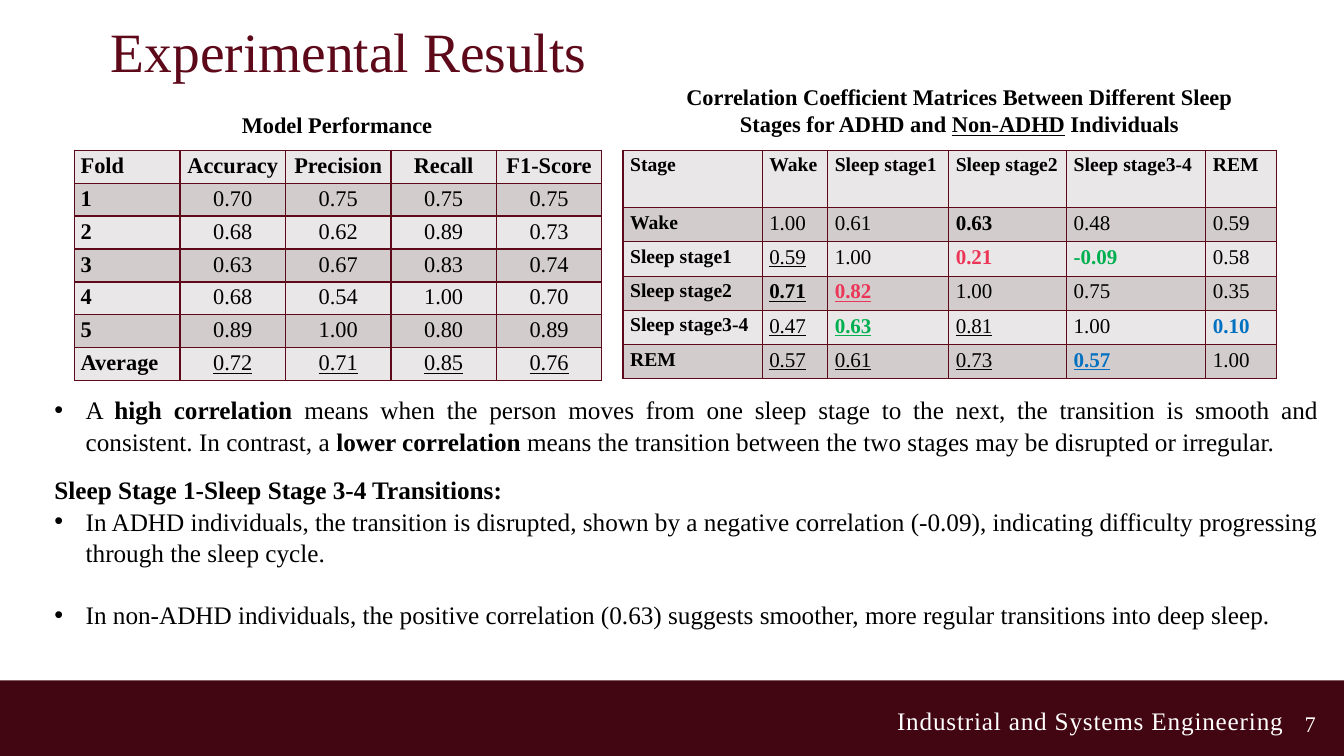
"""Build the experimental results slide with two tables and their reading."""
from dataclasses import dataclass
from lxml.etree import SubElement
from pptx import Presentation
from pptx.dml.color import RGBColor as RGB
from pptx.enum.shapes import MSO_SHAPE as Form
from pptx.enum.text import MSO_ANCHOR as Anchor, MSO_AUTO_SIZE as Fit, PP_ALIGN as Align
from pptx.oxml.ns import qn
from pptx.util import Inches, Pt

TITLE = "Experimental Results"
SCHOOL, PAGE = "Industrial and Systems Engineering", "7"
SCORES = [
    ("Fold", "Accuracy", "Precision", "Recall", "F1-Score"),
    ("1", "0.70", "0.75", "0.75", "0.75"),
    ("2", "0.68", "0.62", "0.89", "0.73"),
    ("3", "0.63", "0.67", "0.83", "0.74"),
    ("4", "0.68", "0.54", "1.00", "0.70"),
    ("5", "0.89", "1.00", "0.80", "0.89"),
    ("Average", "0.72", "0.71", "0.85", "0.76"),
]
STAGES = [
    ("Stage", "Wake", "Sleep stage1", "Sleep stage2", "Sleep stage3-4", "REM"),
    ("Wake", "1.00", "0.61", "0.63", "0.48", "0.59"),
    ("Sleep stage1", "0.59", "1.00", "0.21", "-0.09", "0.58"),
    ("Sleep stage2", "0.71", "0.82", "1.00", "0.75", "0.35"),
    ("Sleep stage3-4", "0.47", "0.63", "0.81", "1.00", "0.10"),
    ("REM", "0.57", "0.61", "0.73", "0.57", "1.00"),
]
MARKS = {(1, 3): "ink", (2, 3): "pink", (2, 4): "green", (4, 5): "blue"}
LEFT_CAP = [("Model Performance", "b")]
RIGHT_CAP = [
    ("Correlation Coefficient Matrices Between Different Sleep Stages for ADHD and ", "b"),
    ("Non-ADHD", "bu"), (" Individuals", "b"),
]
MEANING = [[
    ("A ", ""), ("high correlation ", "b"),
    ("means when the person moves from one sleep stage to the next, the transition "
     "is smooth and consistent. In contrast, a ", ""),
    ("lower correlation ", "b"),
    ("means the transition between the two stages may be disrupted or irregular.", ""),
]]
SHIFTS = [
    [("Sleep Stage 1-Sleep Stage 3-4 Transitions:", "b")],
    [("In ADHD individuals, the transition is disrupted, shown by a negative correlation "
      "(-0.09), indicating difficulty progressing through the sleep cycle.", "")],
    [("In non-ADHD individuals, the positive correlation (0.63) suggests smoother, "
      "more regular transitions into deep sleep.", "")],
]


@dataclass(frozen=True)
class Theme:
    """Colours, font and type sizes."""
    font: str = "Times New Roman"
    ink: str = "000000"
    white: str = "FFFFFF"
    wine: str = "5E091A"
    bar: str = "410611"
    light: str = "EAE7E8"
    dark: str = "D2CCCD"
    pink: str = "EC3658"
    green: str = "00B050"
    blue: str = "0070C0"
    title: float = 39.6
    body: int = 18
    table: int = 16
    value: int = 15
    head: int = 14


LOOK = Theme()


def write(para, runs, size, ink=LOOK.ink, align=Align.LEFT):
    """Fill a paragraph with runs; b is bold and u is underlined."""
    para.alignment = align
    for text, style in runs:
        run = para.add_run()
        run.text = text
        font = run.font
        font.name, font.size = LOOK.font, Pt(size)
        font.bold, font.underline = "b" in style, "u" in style
        font.color.rgb = RGB.from_string(ink)


def place(shape, box):
    """Move a shape to a box given in inches."""
    shape.left, shape.top, shape.width, shape.height = map(Inches, box)


def label(slide, box, runs, size, ink=LOOK.ink, align=Align.LEFT):
    """Add one wrapped line or block of text."""
    frame = slide.shapes.add_textbox(*map(Inches, box)).text_frame
    frame.word_wrap = True
    write(frame.paragraphs[0], runs, size, ink, align)
    return frame


def body(shape, box, paras, align, gap):
    """Fill a body placeholder; a fully bold paragraph is a heading."""
    place(shape, box)
    frame = shape.text_frame
    frame.auto_size = Fit.NONE
    for i, runs in enumerate(paras):
        para = frame.add_paragraph() if i else frame.paragraphs[0]
        write(para, runs, LOOK.body, align=align)
        para.line_spacing = 1.05
        para.space_before = Pt(gap if i > 1 else 0)
        para.space_after = Pt(0)
        head = all(style == "b" for _, style in runs)
        dent = 0 if head else Inches(0.31)
        props = para._p.get_or_add_pPr()
        props.set("marL", str(dent))
        props.set("indent", str(-dent))
        if head:
            SubElement(props, qn("a:buNone"))
        else:
            SubElement(props, qn("a:buFont"), typeface="Arial")
            SubElement(props, qn("a:buChar"), char="•")


def border(cell):
    """Draw a thin wine line on all four sides of a cell."""
    props = cell._tc.get_or_add_tcPr()
    for side in "LRTB":
        line = SubElement(props, qn(f"a:ln{side}"), w=str(Pt(1)))
        fill = SubElement(line, qn("a:solidFill"))
        SubElement(fill, qn("a:srgbClr"), val=LOOK.wine)


def grid(slide, spot, data, wide, high, pad, paint):
    """Add a banded table; paint gives size, ink, style and alignment."""
    box = (*spot, sum(wide), sum(high))
    table = slide.shapes.add_table(len(high), len(wide), *map(Inches, box)).table
    for col, width in zip(table.columns, wide):
        col.width = Inches(width)
    for r, row in enumerate(data):
        table.rows[r].height = Inches(high[r])
        for c, text in enumerate(row):
            cell = table.cell(r, c)
            cell.margin_left = cell.margin_right = Inches(pad[0])
            cell.margin_top = cell.margin_bottom = Inches(pad[1])
            border(cell)
            cell.fill.solid()
            cell.fill.fore_color.rgb = RGB.from_string(LOOK.dark if r % 2 else LOOK.light)
            size, ink, style, align = paint(r, c)
            write(cell.text_frame.paragraphs[0], [(text, style)], size, ink, align)


def score(r, c):
    """Style a model score; the averages are underlined."""
    style = "b" if r == 0 or c == 0 else "u" if r == len(SCORES) - 1 else ""
    return LOOK.table, LOOK.ink, style, Align.CENTER if c else Align.LEFT


def stage(r, c):
    """Style a correlation; values below the diagonal are underlined."""
    if r == 0 or c == 0:
        return LOOK.head, LOOK.ink, "b", Align.LEFT
    mark = MARKS.get((min(r, c), max(r, c)))
    if (r, c) == (3, 1):
        mark = "ink"
    if (r, c) == (5, 4):
        mark = "blue"
    bold = mark and (r, c) != (3, 1) or (r, c) == (3, 1)
    style = ("b" if bold else "") + ("u" if c < r else "")
    return LOOK.value, getattr(LOOK, mark or "ink"), style, Align.LEFT


def main():
    """Lay out the slide and save it."""
    deck = Presentation()
    deck.slide_width, deck.slide_height = Inches(13.33), Inches(7.5)
    slide = deck.slides.add_slide(deck.slide_layouts[3])
    title, upper, lower = slide.placeholders

    bar = slide.shapes.add_shape(Form.RECTANGLE, *map(Inches, (0, 6.75, 13.33, 0.75)))
    bar.shadow.inherit = False
    bar.fill.solid()
    bar.fill.fore_color.rgb = RGB.from_string(LOOK.bar)
    bar.line.fill.background()
    foot = label(slide, (8.73, 6.95, 4.1, 0.4), [(SCHOOL, "")], LOOK.body, LOOK.white, Align.RIGHT)
    foot.paragraphs[0].runs[0].font._element.set("spc", "60")
    page = label(slide, (12.84, 6.98, 0.57, 0.4), [(PAGE, "")], LOOK.table, LOOK.white)
    page.vertical_anchor = Anchor.MIDDLE

    place(title, (1, 0.3, 11.67, 0.4))
    title.text_frame.auto_size = Fit.NONE
    title.text_frame.vertical_anchor = Anchor.MIDDLE
    write(title.text_frame.paragraphs[0], [(TITLE, "")], LOOK.title, LOOK.wine)

    label(slide, (2.3, 1.05, 2.12, 0.37), LEFT_CAP, LOOK.table)
    label(slide, (6.48, 0.78, 6.07, 0.64), RIGHT_CAP, LOOK.table, align=Align.CENTER)
    grid(slide, (0.74, 1.49), SCORES, [5.23 / 5] * 5, [2.28 / 7] * 7, (0.06, 0.03), score)
    grid(slide, (6.18, 1.49), STAGES, [1.38, 0.65, 1.2, 1.17, 1.38, 0.7],
         [0.57] + [0.34] * 5, (0.07, 0.04), stage)
    body(upper, (0.44, 3.85, 12.74, 0.71), MEANING, Align.JUSTIFY, 0)
    body(lower, (0.44, 4.64, 12.74, 1.62), SHIFTS, Align.LEFT, 21.6)
    deck.save("out.pptx")


if __name__ == "__main__":
    main()
